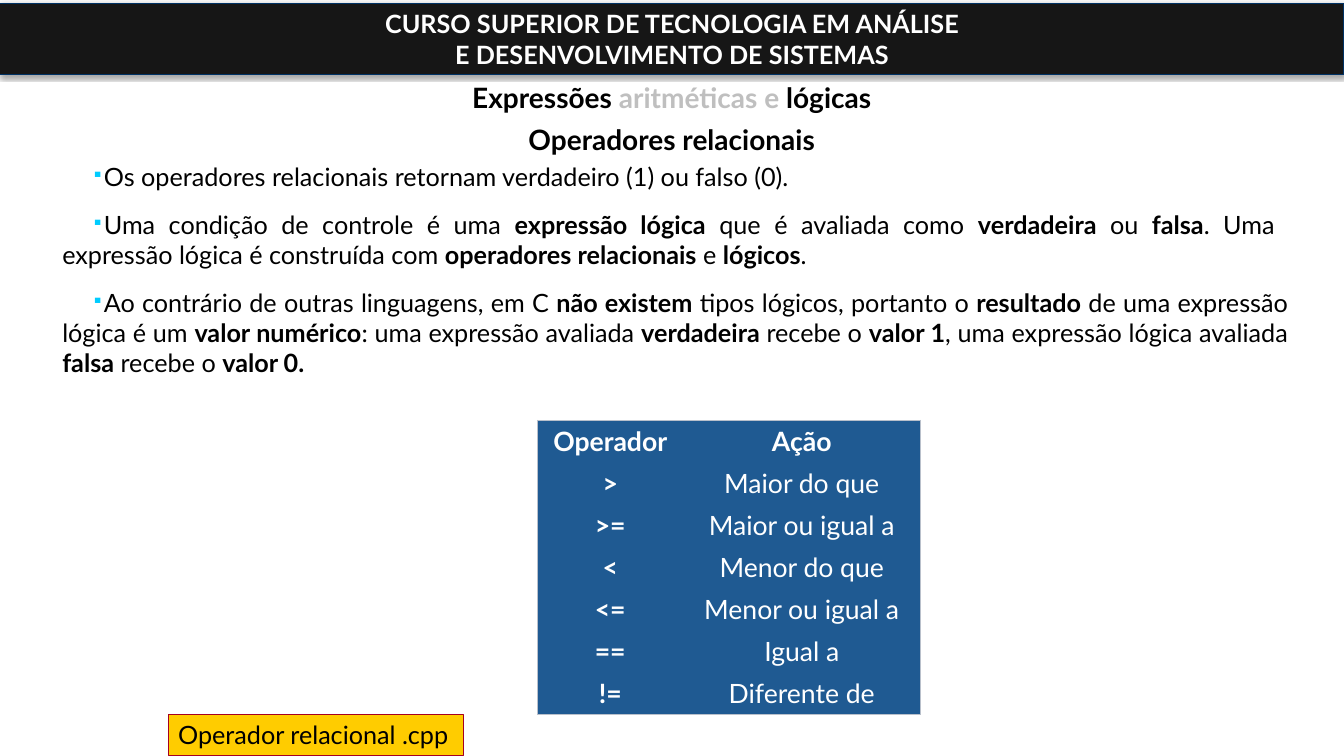
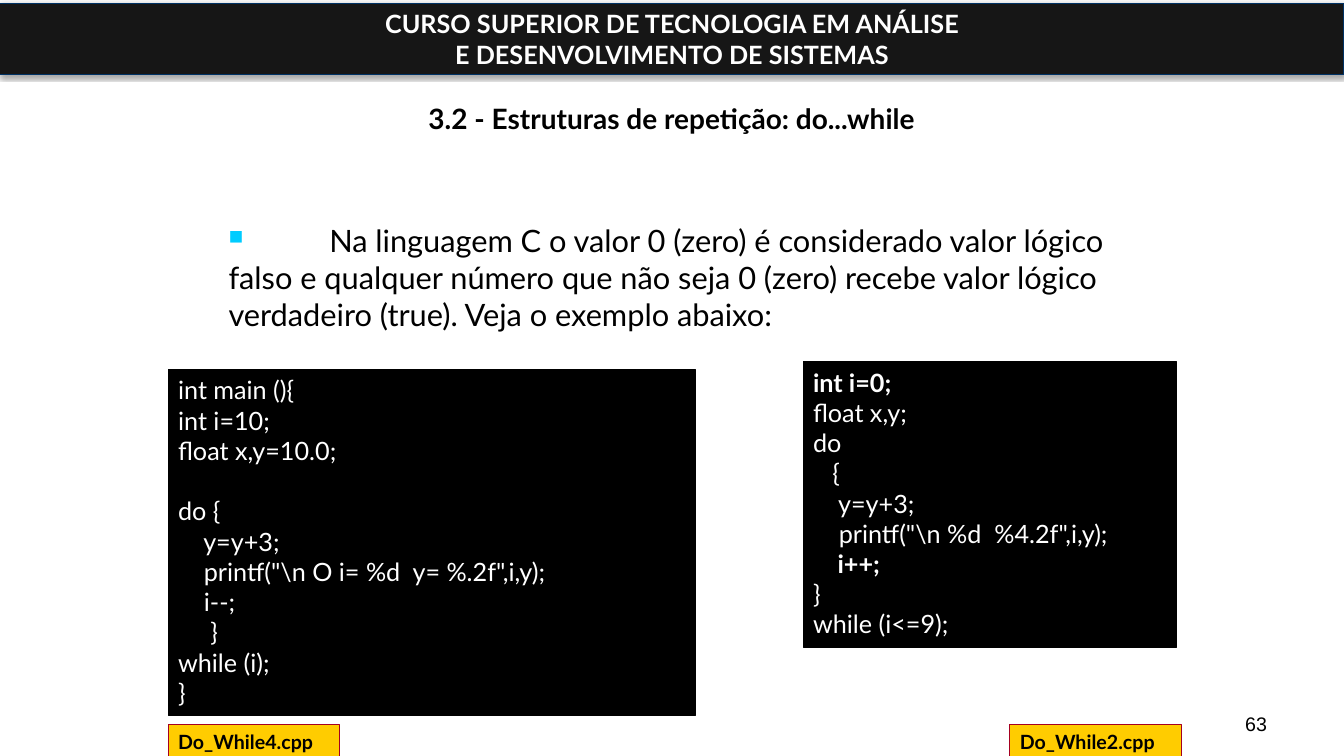
from dataclasses import dataclass

from lxml.etree import SubElement
from pptx import Presentation
from pptx.dml.color import RGBColor as RGB
from pptx.enum.shapes import MSO_SHAPE as Shape
from pptx.enum.text import MSO_ANCHOR as Anchor, PP_ALIGN as Align
from pptx.oxml.ns import qn
from pptx.util import Cm, Pt


@dataclass(frozen=True)
class Theme:
    # Colours
    ink: str = "000000"
    paper: str = "FFFFFF"
    muted: str = "BFBFBF"
    band: str = "161616"
    edge: str = "003264"
    bullet: str = "00CCFF"
    label: str = "FFCC00"
    rim: str = "A50021"
    table: str = "1F5A92"
    grid: str = "B9C0CB"
    # Fonts and sizes
    font: str = "Lato"
    plain: str = "Arial"
    title: int = 20
    lead: int = 22
    cell: int = 19
    text: int = 18
    small: int = 14


BAND = ("CURSO SUPERIOR DE TECNOLOGIA EM ANÁLISE",
        "E DESENVOLVIMENTO DE SISTEMAS")
NO_STYLE = "{2D5ABB26-0587-4C30-8999-92F81FD0307C}"


def color(code):
    return RGB.from_string(code)


def node(parent, tag, **attrs):
    return SubElement(parent, qn(tag), {k: str(v) for k, v in attrs.items()})


class Deck:
    def __init__(self, theme):
        self.theme = theme
        self.file = Presentation()
        self.file.slide_width, self.file.slide_height = Cm(33.87), Cm(19.05)
        self.slide = None

    def new(self):
        self.slide = self.file.slides.add_slide(self.file.slide_layouts[6])
        self.band()

    # Text: pieces between asterisks are bold, or muted when asked
    def fill(self, frame, lines, size, ink=None, bold=None, align=Align.LEFT,
             gap=0, font=None, muted=False, bullet=None, indent=0, tab=None):
        frame.word_wrap = True
        for i, line in enumerate(lines):
            para = frame.paragraphs[0] if i == 0 else frame.add_paragraph()
            para.alignment = align
            if i:
                para.space_before = Pt(gap)
            if bullet:
                self.mark(para, bullet, indent, tab)
            para.font.size = Pt(size)
            para.font.name = font or self.theme.font
            para.font.bold = bold
            para.font.color.rgb = color(ink or self.theme.ink)
            for j, piece in enumerate(line.split("*")):
                if not piece:
                    continue
                run = para.add_run()
                run.text = piece
                if j % 2 and muted:
                    run.font.color.rgb = color(self.theme.muted)
                elif j % 2:
                    run.font.bold = True

    def mark(self, para, char, indent, tab):
        props = para._p.get_or_add_pPr()
        props.set("marL", "0")
        props.set("indent", str(Cm(indent)))
        node(node(props, "a:buClr"), "a:srgbClr", val=self.theme.bullet)
        node(props, "a:buSzPct", val=65000)
        node(props, "a:buChar", char=char)
        if tab:
            node(node(props, "a:tabLst"), "a:tab", pos=Cm(tab), algn="l")

    def text(self, box, lines, size, anchor=Anchor.TOP, **style):
        frame = self.slide.shapes.add_textbox(*map(Cm, box)).text_frame
        frame.vertical_anchor = anchor
        self.fill(frame, lines, size, **style)

    def rect(self, box, fill, line, lines, size, anchor=Anchor.TOP, **style):
        shape = self.slide.shapes.add_shape(Shape.RECTANGLE, *map(Cm, box))
        shape.shadow.inherit = False
        shape.fill.solid()
        shape.fill.fore_color.rgb = color(fill)
        shape.line.color.rgb = color(line)
        shape.line.width = Pt(0.75)
        shape.text_frame.vertical_anchor = anchor
        self.fill(shape.text_frame, lines, size, **style)
        return shape

    # Parts of a slide
    def band(self):
        t = self.theme
        shape = self.rect((0, 0.08, 33.87, 1.8), t.band, t.edge, BAND, t.text,
                          Anchor.MIDDLE, ink=t.paper, bold=True,
                          align=Align.CENTER)
        effects = shape._element.spPr.find(qn("a:effectLst"))
        shade = node(effects, "a:outerShdw", blurRad=Pt(3.1), dist=Pt(1.8),
                     dir=5400000, rotWithShape=0)
        node(node(shade, "a:srgbClr", val=t.ink), "a:alpha", val=35000)

    def title(self, *lines):
        self.text((1.69, 1.07, 30.48, 3.81), lines, self.theme.title,
                  Anchor.MIDDLE, bold=True, align=Align.CENTER, gap=6,
                  muted=True)

    def label(self, box, words, size, bold=None):
        self.rect(box, self.theme.label, self.theme.rim, [words], size,
                  bold=bold)

    def code(self, box, source):
        t = self.theme
        self.rect(box, t.ink, t.ink, source.splitlines(), t.text, ink=t.paper)

    def page(self, number):
        self.text((24.28, 17.35, 7.9, 1.32), [number], self.theme.small,
                  Anchor.BOTTOM, align=Align.RIGHT, font=self.theme.plain)

    def table(self, left, top, widths, height, rows):
        t = self.theme
        frame = self.slide.shapes.add_table(
            len(rows), len(widths), Cm(left), Cm(top), Cm(sum(widths)),
            Cm(height * len(rows)))
        table = frame.table
        table.first_row = table.horz_banding = False
        table._tbl.tblPr.find(qn("a:tableStyleId")).text = NO_STYLE
        for col, width in zip(table.columns, widths):
            col.width = Cm(width)
        for r, row in enumerate(rows):
            table.rows[r].height = Cm(height)
            for c, words in enumerate(row):
                cell = table.cell(r, c)
                sides = {"L": c == 0, "R": c == len(row) - 1,
                         "T": r == 0, "B": r == len(rows) - 1}
                self.border(cell, [s for s, outer in sides.items() if outer])
                cell.fill.solid()
                cell.fill.fore_color.rgb = color(t.table)
                self.fill(cell.text_frame, [words], t.cell, ink=t.paper,
                          bold=r == 0 or c == 0, align=Align.CENTER)

    def border(self, cell, sides):
        props = cell._tc.get_or_add_tcPr()
        for side in sides:
            line = node(props, f"a:ln{side}", w=Pt(0.75))
            node(node(line, "a:solidFill"), "a:srgbClr", val=self.theme.grid)


POINTS = (
    "Os operadores relacionais retornam verdadeiro (1) ou falso (0).",
    "Uma condição de controle é uma *expressão lógica* que é avaliada como "
    "*verdadeira* ou *falsa*. Uma  expressão lógica é construída com "
    "*operadores relacionais* e *lógicos*.",
    "Ao contrário de outras linguagens, em C *não existem* tipos lógicos, "
    "portanto o *resultado* de uma expressão lógica é um *valor numérico*: "
    "uma expressão avaliada *verdadeira* recebe o *valor 1*, uma expressão "
    "lógica avaliada *falsa* recebe o *valor 0.*",
)

SIGNS = (
    ("Operador", "Ação"),
    (">", "Maior do que"),
    (">=", "Maior ou igual a"),
    ("<", "Menor do que"),
    ("<=", "Menor ou igual a"),
    ("==", "Igual a"),
    ("!=", "Diferente de"),
)

LEAD = ("\tNa linguagem C o valor 0 (zero) é considerado valor lógico falso e "
        "qualquer número que não seja 0 (zero) recebe valor lógico verdadeiro "
        "(true). Veja o exemplo abaixo:")

DOWN = r"""int main (){
int i=10;
float x,y=10.0;

do {
    y=y+3;
    printf("\n O i= %d  y= %.2f",i,y);
    i--;
     }
while (i);
}"""

UP = r"""*int i=0;*
float x,y;
do
   {
    y=y+3;
    printf("\n %d  %4.2f",i,y);
*    i++;*
}
while (i<=9);"""


def main():
    theme = Theme()
    deck = Deck(theme)

    # Relational operators
    deck.new()
    deck.title("Expressões *aritméticas e* lógicas", "Operadores relacionais")
    deck.text((1.32, 3.94, 31.39, 6), POINTS, theme.text, align=Align.JUSTIFY,
              gap=12.6, bullet="▪", indent=0.74)
    deck.table(13.54, 10.59, (3.68, 5.97), 1.06, SIGNS)
    deck.label((4.24, 18.01, 7.44, 1.02), "Operador relacional .cpp",
               theme.text)

    # The do...while loop
    deck.new()
    deck.page("63")
    deck.title("3.2 - Estruturas de repetição: do...while")
    deck.text((5.51, 5.46, 23.24, 3.5), [LEAD], theme.lead, bullet="■",
              tab=2.54)
    deck.code((4.24, 9.32, 13.28, 8.71), DOWN)
    deck.code((20.24, 9.12, 9.4, 7.19), UP)
    for left, name in ((4.24, "Do_While4.cpp"), (25.45, "Do_While2.cpp")):
        deck.label((left, 18.26, 4.32, 0.86), name, theme.small, bold=True)

    deck.file.save("out.pptx")


if __name__ == "__main__":
    main()
